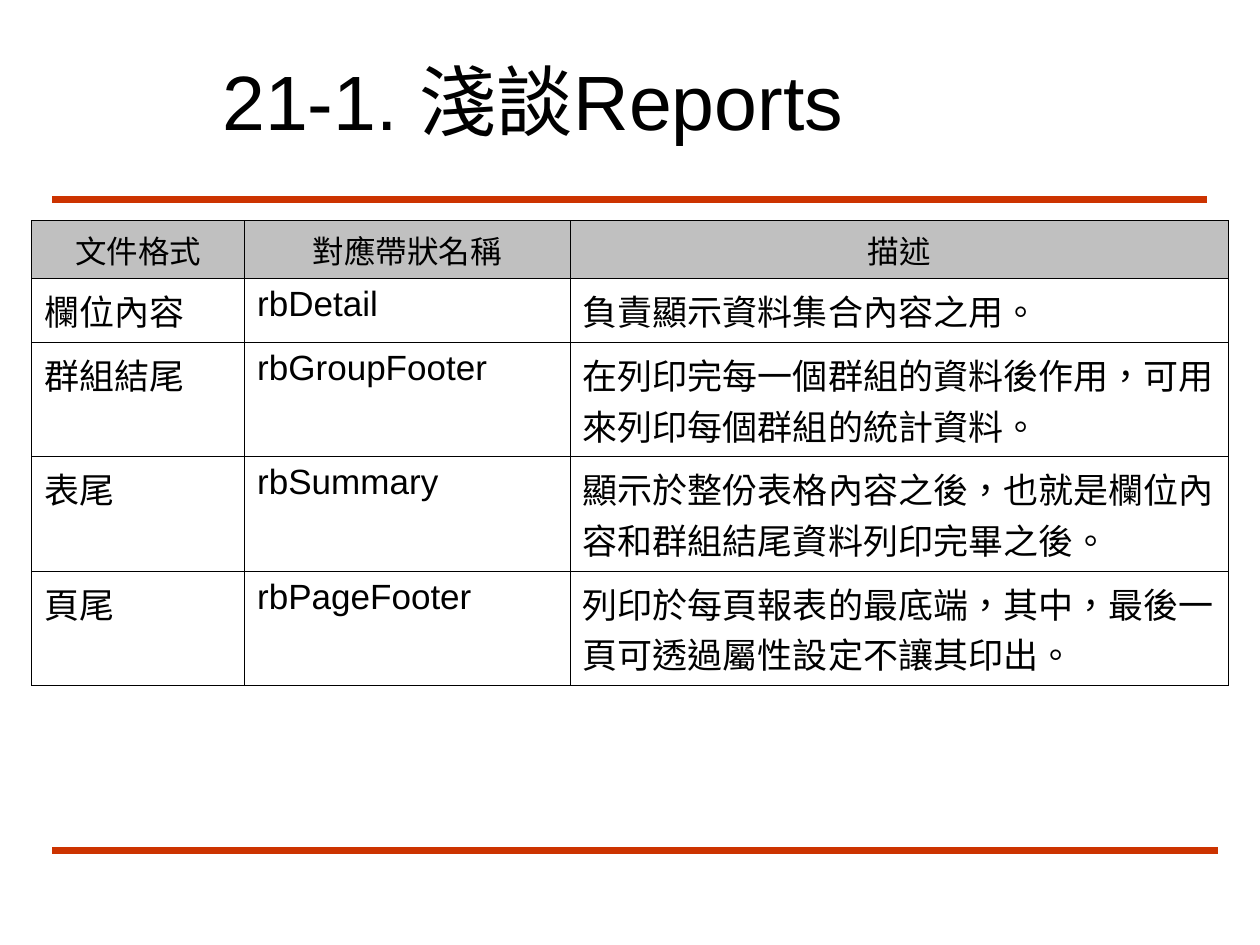
from dataclasses import dataclass

from lxml import etree
from pptx import Presentation
from pptx.dml.color import RGBColor
from pptx.enum.lang import MSO_LANGUAGE_ID
from pptx.enum.shapes import MSO_CONNECTOR
from pptx.enum.text import MSO_ANCHOR, PP_ALIGN
from pptx.oxml.ns import qn
from pptx.util import Inches, Pt

STRAIGHT = MSO_CONNECTOR.STRAIGHT
MIDDLE, TOP = MSO_ANCHOR.MIDDLE, MSO_ANCHOR.TOP
LEFT, CENTER = PP_ALIGN.LEFT, PP_ALIGN.CENTER
CHINESE = MSO_LANGUAGE_ID.TRADITIONAL_CHINESE


@dataclass(frozen=True)
class Theme:
    font: str = "Arial"
    ink: str = "000000"
    rule: str = "CC3300"
    head: str = "C0C0C0"
    title_size: int = 44
    head_size: int = 18
    body_size: int = 20
    rule_width: float = 4.5
    edge_width: float = 0.45


@dataclass(frozen=True)
class Rule:
    left: float
    right: float
    y: float


THEME = Theme()

# The slide is a grid of 120 columns and 90 rows, 12 to the inch
RULES = [Rule(5, 115, 19), Rule(5, 116, 81)]
COLS = [20.3, 31, 62.7]
ROWS = [5.5, 6.1, 10.9, 10.9, 10.9]
CELLS = [
    ("文件格式", "對應帶狀名稱", "描述"),
    ("欄位內容", "rbDetail", "負責顯示資料集合內容之用。"),
    ("群組結尾", "rbGroupFooter",
     "在列印完每一個群組的資料後作用，可用來列印每個群組的統計資料。"),
    ("表尾", "rbSummary",
     "顯示於整份表格內容之後，也就是欄位內容和群組結尾資料列印完畢之後。"),
    ("頁尾", "rbPageFooter",
     "列印於每頁報表的最底端，其中，最後一頁可透過屬性設定不讓其印出。"),
]


def grid(count: float) -> int:
    return Inches(count / 12)


def write(frame, text: str, size: int, align=LEFT) -> None:
    frame.word_wrap = True
    para = frame.paragraphs[0]
    para.alignment = align
    run = para.add_run()
    run.text = text
    font = run.font
    font.name, font.size = THEME.font, Pt(size)
    font.color.rgb = RGBColor.from_string(THEME.ink)
    font.language_id = CHINESE


def draw_rule(slide, rule: Rule) -> None:
    line = slide.shapes.add_connector(
        STRAIGHT, grid(rule.left), grid(rule.y), grid(rule.right), grid(rule.y))
    line.line.color.rgb = RGBColor.from_string(THEME.rule)
    line.line.width = Pt(THEME.rule_width)
    etree.SubElement(line._element.spPr, qn("a:effectLst"))


def draw_edges(cell) -> None:
    props = cell._tc.get_or_add_tcPr()
    for side in ("lnL", "lnR", "lnT", "lnB"):
        edge = etree.SubElement(props, qn(f"a:{side}"),
                                w=str(int(Pt(THEME.edge_width))))
        fill = etree.SubElement(edge, qn("a:solidFill"))
        etree.SubElement(fill, qn("a:srgbClr"), val=THEME.ink)


def draw_cell(cell, text: str, is_head: bool) -> None:
    draw_edges(cell)
    cell.vertical_anchor = TOP
    if is_head:
        cell.fill.solid()
        cell.fill.fore_color.rgb = RGBColor.from_string(THEME.head)
        write(cell.text_frame, text, THEME.head_size, CENTER)
    else:
        cell.fill.background()
        write(cell.text_frame, text, THEME.body_size)


def draw_table(slide) -> None:
    table = slide.shapes.add_table(
        len(ROWS), len(COLS), grid(3), grid(21),
        grid(sum(COLS)), grid(sum(ROWS))).table
    table.first_row = table.horz_banding = False
    for col, width in zip(table.columns, COLS):
        col.width = grid(width)
    for row, height, texts in zip(table.rows, ROWS, CELLS):
        row.height = grid(height)
        for cell, text in zip(row.cells, texts):
            draw_cell(cell, text, texts is CELLS[0])


def main() -> None:
    deck = Presentation()
    deck.slide_width, deck.slide_height = grid(120), grid(90)
    slide = deck.slides.add_slide(deck.slide_layouts[6])

    # Rules above and below the content
    for rule in RULES:
        draw_rule(slide, rule)

    # Title
    title = slide.shapes.add_textbox(grid(20), grid(4), grid(91), grid(11))
    title.text_frame.vertical_anchor = MIDDLE
    write(title.text_frame, "21-1. 淺談Reports", THEME.title_size)

    # Report bands
    draw_table(slide)
    deck.save("out.pptx")


if __name__ == "__main__":
    main()
